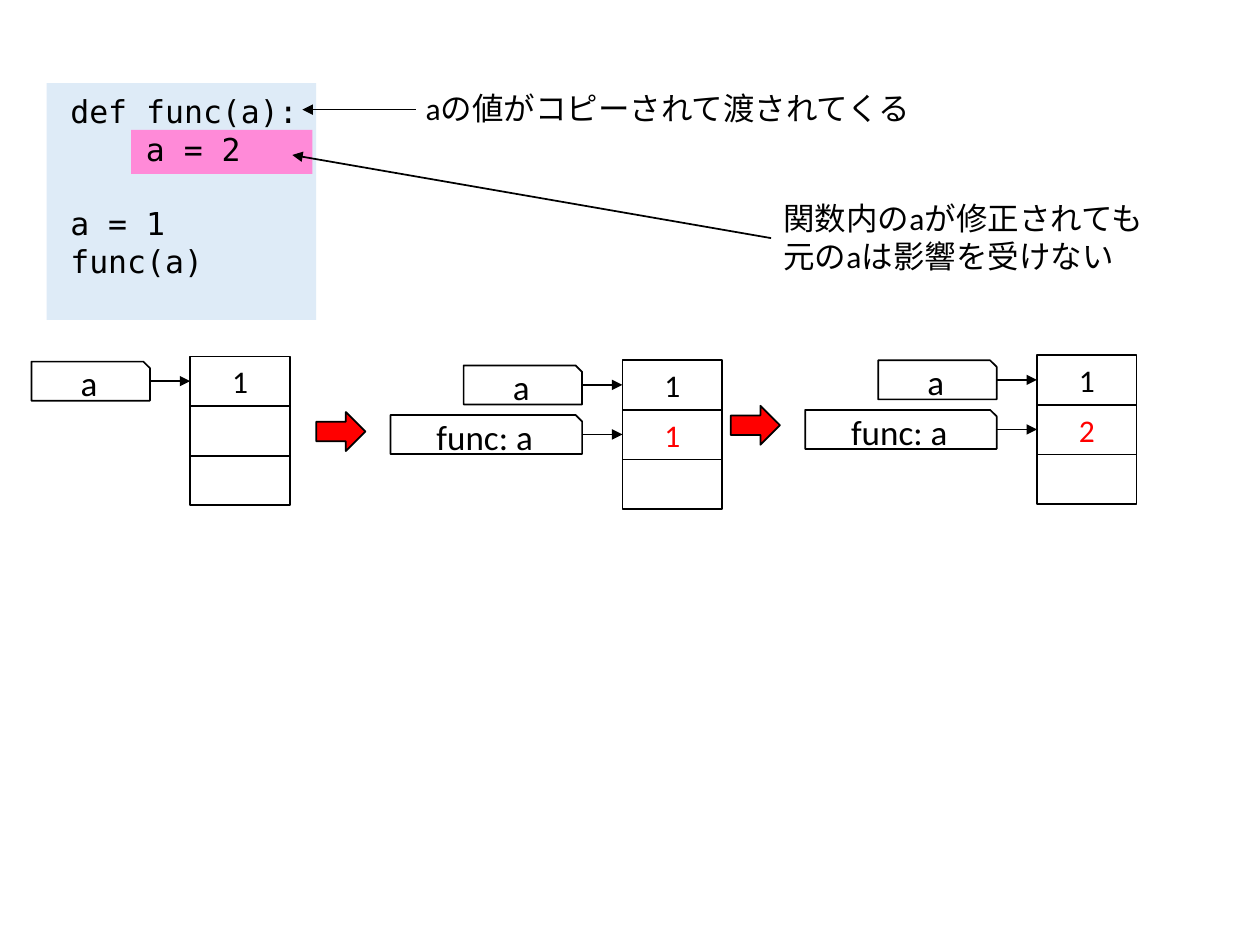
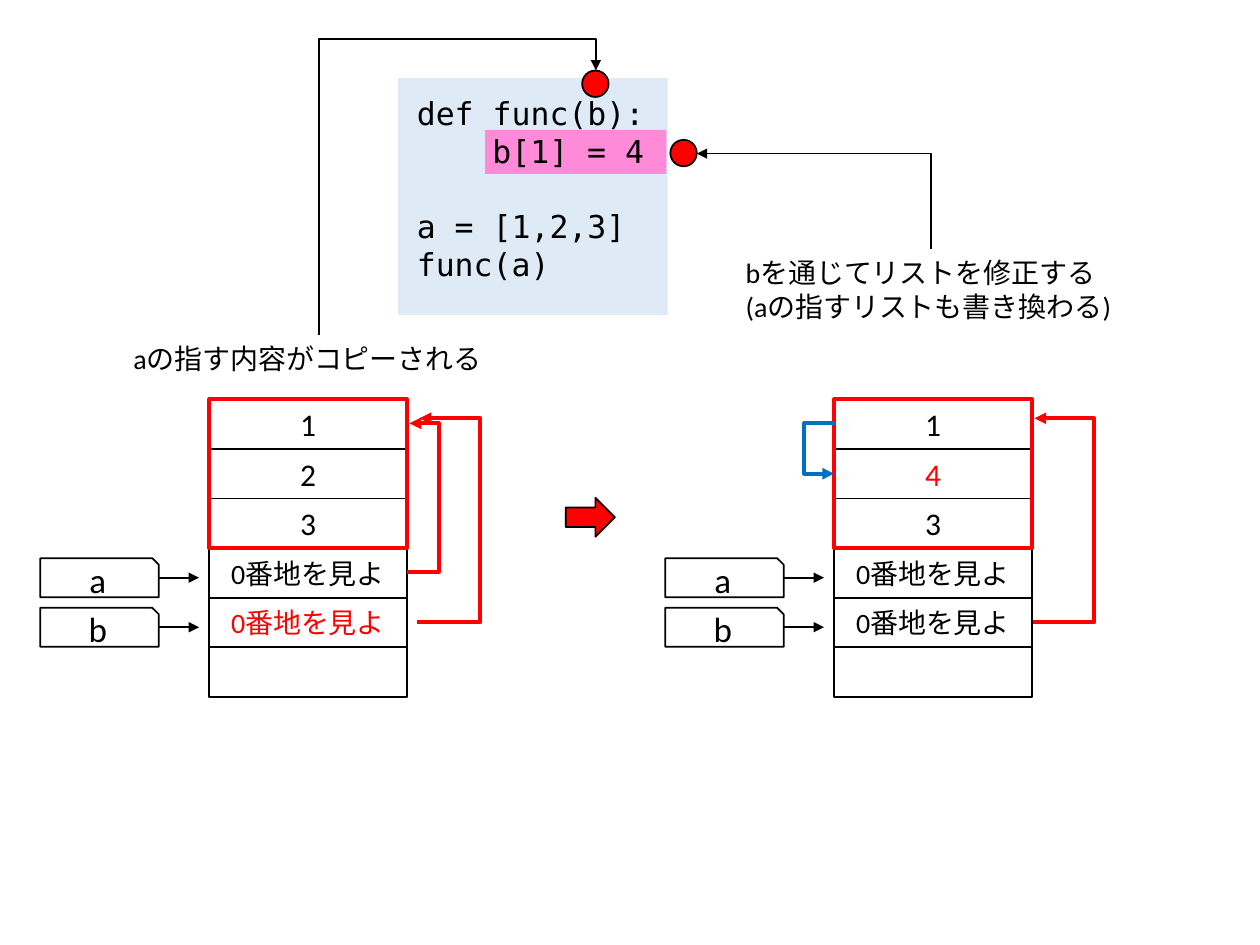
from lxml import etree
from pptx import Presentation
from pptx import util as u
from pptx.dml.color import RGBColor
from pptx.enum import shapes, text
from pptx.oxml import ns

BLACK = RGBColor(0x00, 0x00, 0x00)
RED = RGBColor(0xFF, 0x00, 0x00)
BLUE = RGBColor(0x00, 0x70, 0xC0)
PALE_BLUE = RGBColor(0xDE, 0xEB, 0xF7)
PINK = RGBColor(0xFF, 0x8A, 0xD8)

KIND = shapes.MSO_SHAPE
BODY_FONT = "Calibri"
CODE_FONT = "DejaVu Sans Mono"
CODE_INDENT = 0.6
BLANK_LINE = 21
FRAME_HEIGHT = 1.18
ROW = FRAME_HEIGHT / 3
TAG_HEIGHT = 0.31
POINTER = 0.32
LOOK = "0番地を見よ"


def inches(*lengths):
    return [u.Inches(length) for length in lengths]


def style_run(run, size, color=BLACK, font=BODY_FONT):
    for name, value in {"size": u.Pt(size), "name": font}.items():
        setattr(run.font, name, value)
    run.font.color.rgb = color


def add_block(slide, kind, box, fill=None, line=None, weight=1):
    block = slide.shapes.add_shape(kind, *inches(*box))
    block.shadow.inherit = False
    if fill is None:
        block.fill.background()
    else:
        block.fill.solid()
        block.fill.fore_color.rgb = fill
    if line is None:
        block.line.fill.background()
    else:
        block.line.color.rgb = line
        block.line.width = u.Pt(weight)
    return block


def add_label(slide, kind, box, words, size, color=BLACK):
    frame = add_block(slide, kind, box, line=BLACK).text_frame
    frame.vertical_anchor = text.MSO_ANCHOR.MIDDLE
    if words:
        line = frame.paragraphs[0]
        line.alignment = text.PP_ALIGN.CENTER
        run = line.add_run()
        run.text = words
        style_run(run, size, color)


def add_lines(slide, box, lines, size, font=BODY_FONT):
    frame = slide.shapes.add_textbox(*inches(*box)).text_frame
    for name, value in {"word_wrap": True,
                        "auto_size": text.MSO_AUTO_SIZE.SHAPE_TO_FIT_TEXT}.items():
        setattr(frame, name, value)
    for index, words in enumerate(lines):
        line = frame.add_paragraph() if index else frame.paragraphs[0]
        run = line.add_run()
        run.text = words
        style_run(run, size, font=font)
    return frame


def add_code(slide, panel, highlight, box, lines):
    add_block(slide, KIND.RECTANGLE, panel, fill=PALE_BLUE)
    add_block(slide, KIND.RECTANGLE, highlight, fill=PINK)
    _, body, assignment, _ = add_lines(slide, box, lines, 18, CODE_FONT).paragraphs
    margins = body._p.get_or_add_pPr()
    for name, length in {"marL": CODE_INDENT, "indent": 0}.items():
        margins.set(name, str(u.Inches(length)))
    assignment.space_before = u.Pt(BLANK_LINE)


def add_arrow(slide, start, end, color=BLACK, weight=1, arrow_at="tailEnd",
              kind=shapes.MSO_CONNECTOR.STRAIGHT):
    arrow = slide.shapes.add_connector(kind, *inches(*start, *end))
    arrow.line.color.rgb = color
    arrow.line.width = u.Pt(weight)
    properties = arrow._element.spPr
    etree.SubElement(properties.find(ns.qn("a:ln")), ns.qn(f"a:{arrow_at}"), type="triangle")
    etree.SubElement(properties, ns.qn("a:effectLst"))
    return arrow


def set_bend(arrow, share):
    guides = arrow._element.spPr.find(ns.qn("a:prstGeom")).get_or_add_avLst()
    etree.SubElement(guides, ns.qn("a:gd"), name="adj1", fmla=f"val {round(share * 100000)}")


def add_bracket(slide, start, end, bend_x, color):
    arrow = add_arrow(slide, start, end, color, 2.25, kind=shapes.MSO_CONNECTOR.ELBOW)
    set_bend(arrow, (bend_x - start[0]) / (end[0] - start[0]))


def add_vertical_elbow(slide, start, end, bend_y=None, arrow_at="tailEnd"):
    middle_x, middle_y = (start[0] + end[0]) / 2, (start[1] + end[1]) / 2
    turned = [(middle_x - (y - middle_y), middle_y + (x - middle_x)) for x, y in (start, end)]
    arrow = add_arrow(slide, *turned, arrow_at=arrow_at, kind=shapes.MSO_CONNECTOR.ELBOW)
    properties = arrow._element.spPr
    properties.find(ns.qn("a:xfrm")).set("rot", str(270 * 60000))
    if bend_y is None:
        properties.find(ns.qn("a:prstGeom")).set("prst", "bentConnector2")
    else:
        set_bend(arrow, (bend_y - start[1]) / (end[1] - start[1]))


def add_memory(slide, left, top, width, cells, tags, gap=0, drop=0):
    for row, (value, color) in enumerate(cells):
        size = 16 if value == LOOK else 18
        add_label(slide, KIND.RECTANGLE, (left, top + row * ROW, width, ROW), value, size, color)
    tip = left - gap
    for row, name, tag_width in tags:
        tag_top = top + row * ROW + 0.04 + drop
        tag_right = tip - POINTER
        add_label(slide, KIND.SNIP_1_RECTANGLE,
                  (tag_right - tag_width, tag_top, tag_width, TAG_HEIGHT), name, 20)
        pointer_y = tag_top + TAG_HEIGHT / 2
        add_arrow(slide, (tag_right, pointer_y), (tip, pointer_y))


def add_step(slide, left, top):
    add_block(slide, KIND.RIGHT_ARROW, (left, top, 0.39, 0.31), fill=RED, line=BLACK)


def add_value_slide(slide):
    add_code(slide, (0.37, 0.66, 2.14, 1.88), (1.04, 1.03, 1.44, 0.35),
             (0.46, 0.68, 2.5, 1.62), ("def func(a):", "a = 2", "a = 1", "func(a)"))
    caller = (0, "a", 0.94)
    argument = (1, "func: a", 1.52)
    states = (
        (1.51, 2.83, "", (caller,)),
        (4.94, 2.86, "1", (caller, argument)),
        (8.23, 2.82, "2", (caller, argument)),
    )
    for left, top, copied, tags in states:
        cells = (("1", BLACK), (copied, RED), ("", BLACK))
        add_memory(slide, left, top, 0.79, cells, tags)
    add_step(slide, 2.51, 3.27)
    add_step(slide, 5.8, 3.22)
    add_lines(slide, (3.28, 0.66, 4.15, 0.4), ("aの値がコピーされて渡されてくる",), 18)
    add_lines(slide, (6.12, 1.53, 3.1, 0.71),
              ("関数内のaが修正されても", "元のaは影響を受けない"), 18)
    add_arrow(slide, (3.3, 0.87), (2.4, 0.87))
    add_arrow(slide, (6.12, 1.89), (2.32, 1.23))


def add_reference_slide(slide):
    top, width = 3.17, 1.57
    tags = ((3, "a", 0.94), (4, "b", 0.94))
    before, after = 1.66, 6.62
    states = ((before, ("2", BLACK), RED), (after, ("4", RED), BLACK))
    add_code(slide, (3.16, 0.62, 2.14, 1.88), (3.85, 1.03, 1.44, 0.35),
             (3.21, 0.7, 2.63, 1.62), ("def func(b):", "b[1] = 4", "a = [1,2,3]", "func(a)"))
    for left, second, look_color in states:
        cells = (("1", BLACK), second, ("3", BLACK),
                 (LOOK, BLACK), (LOOK, look_color), ("", BLACK))
        add_memory(slide, left, top, width, cells, tags, gap=0.08, drop=0.04)
        add_block(slide, KIND.RECTANGLE, (left, top, width, FRAME_HEIGHT), line=RED, weight=2.25)
    add_bracket(slide, (3.23, 4.54), (3.25, 3.36), 3.48, RED)
    add_bracket(slide, (3.31, 4.94), (3.33, 3.32), 3.81, RED)
    add_bracket(slide, (8.2, 4.94), (8.21, 3.32), 8.69, RED)
    add_bracket(slide, (6.63, 3.36), (6.62, 3.76), 6.38, BLUE)
    add_step(slide, 4.49, 3.95)
    add_lines(slide, (0.96, 2.66, 3.13, 0.37), ("aの指す内容がコピーされる",), 16)
    add_lines(slide, (5.82, 1.98, 3.13, 0.64),
              ("bを通じてリストを修正する", "(aの指すリストも書き換わる)"), 16)
    for left, dot_top in ((4.62, 0.56), (5.32, 1.11)):
        add_block(slide, KIND.OVAL, (left, dot_top, 0.21, 0.21), fill=RED, line=BLACK)
    add_vertical_elbow(slide, (4.73, 0.56), (2.53, 2.66), bend_y=0.31, arrow_at="headEnd")
    add_vertical_elbow(slide, (7.39, 1.98), (5.53, 1.22))


def main():
    deck = Presentation()
    for name, length in {"slide_width": 10, "slide_height": 7.5}.items():
        setattr(deck, name, u.Inches(length))
    for build in (add_value_slide, add_reference_slide):
        build(deck.slides.add_slide(deck.slide_layouts[6]))
    deck.save("out.pptx")


main()
